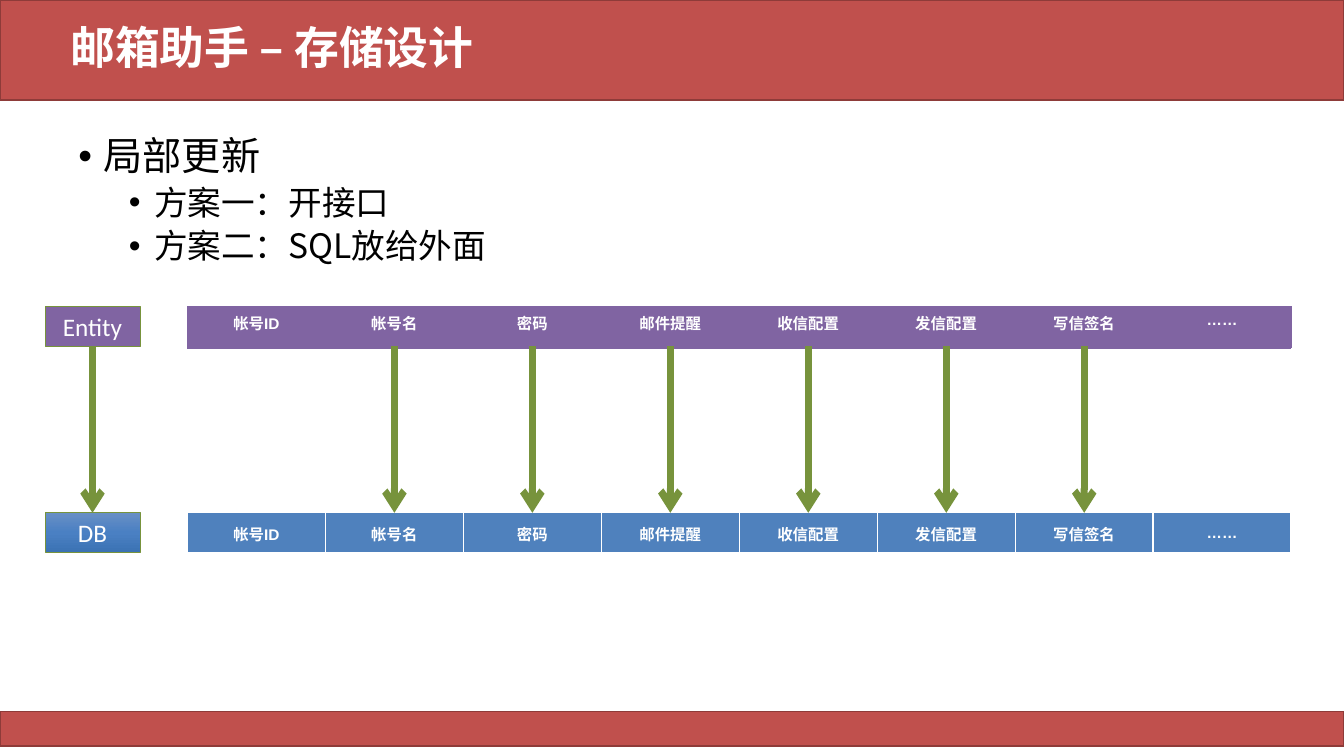
from copy import deepcopy

from lxml.etree import SubElement
from pptx import Presentation
from pptx.dml.color import RGBColor
from pptx.enum.shapes import MSO_CONNECTOR, MSO_SHAPE
from pptx.enum.text import MSO_ANCHOR, PP_ALIGN
from pptx.oxml.ns import qn
from pptx.util import Pt

WHITE = RGBColor(0xFF, 0xFF, 0xFF)
BLACK = RGBColor(0, 0, 0)
RED = RGBColor(0xC0, 0x50, 0x4D)
DARK_RED = RGBColor(0x8E, 0x3B, 0x39)
PURPLE = RGBColor(0x80, 0x64, 0xA2)
BLUE = RGBColor(0x4F, 0x81, 0xBD)
GREEN = RGBColor(0x77, 0x93, 0x3C)
DB_GRADIENT = [RGBColor(0x68, 0x8F, 0xC5), RGBColor(0x4A, 0x80, 0xC3), RGBColor(0x3B, 0x72, 0xB3)]

FIELDS = ["帐号ID", "帐号名", "密码", "邮件提醒", "收信配置", "发信配置", "写信签名", "……"]
FIELDS_LEFT, FIELD_WIDTH, FIELD_HEIGHT = 133.9, 98.55, 29.5
ENTITY_TOP, DB_TOP = 219, 366.3
BOX_LEFT, BOX_WIDTH, BOX_HEIGHT = 32.2, 67.8, 28.4

prs = Presentation()
prs.slide_width, prs.slide_height = Pt(960), Pt(540)
slide = prs.slides.add_slide(prs.slide_layouts[6])
shapes = slide.shapes


def add_box(left, top, width, height, line_color, line_width):
    box = shapes.add_shape(MSO_SHAPE.RECTANGLE, Pt(left), Pt(top), Pt(width), Pt(height))
    box.shadow.inherit = False
    box.line.color.rgb = line_color
    box.line.width = Pt(line_width)
    return box


def style_font(font, name, size, color, bold=False):
    font.name = name
    font.size = Pt(size)
    font.color.rgb = color
    font.bold = bold


# Header and footer bands
for top, height in [(0, 71.5), (508.2, 24.6)]:
    band = add_box(0, top, 960, height, DARK_RED, 1)
    band.fill.solid()
    band.fill.fore_color.rgb = RED

# Title
title = shapes.add_textbox(Pt(43.2), Pt(14.4), Pt(828), Pt(42.5)).text_frame
title.word_wrap = True
title.vertical_anchor = MSO_ANCHOR.MIDDLE
title.text = "邮箱助手 – 存储设计"
title.paragraphs[0].line_spacing = 0.9
style_font(title.paragraphs[0].runs[0].font, "Calibri", 32, WHITE, True)

# Bulleted options: text, level, indent, space before, font, size
options = shapes.add_textbox(Pt(49), Pt(94.3), Pt(884), Pt(380)).text_frame
options.word_wrap = True
for i, (text, level, indent, space, font, size) in enumerate([
    ("局部更新", 0, 18, 0, "Calibri", 28),
    ("方案一：开接口", 1, 54, 5, "Noto Sans CJK SC", 24),
    ("方案二：SQL放给外面", 1, 54, 5, "Noto Sans CJK SC", 24),
]):
    option = options.paragraphs[0] if i == 0 else options.add_paragraph()
    option.text = text
    option.level = level
    option.line_spacing = 0.9
    option.space_before = Pt(space)
    props = option._p.get_or_add_pPr()
    props.set("marL", str(Pt(indent)))
    props.set("indent", str(-Pt(18)))
    SubElement(props, qn("a:buFont"), typeface="Arial")
    SubElement(props, qn("a:buChar"), char="•")
    style_font(option.runs[0].font, font, size, BLACK)

# Field rows: top, fill, border colour, border widths (left, right, top, bottom), anchor
for top, fill, border, widths, anchor in [
    (ENTITY_TOP, PURPLE, PURPLE, (0.5, 0.5, 0.5, 0.5), MSO_ANCHOR.TOP),
    (DB_TOP, BLUE, WHITE, (1, 1, 1, 3), MSO_ANCHOR.MIDDLE),
]:
    fields = shapes.add_table(
        1, len(FIELDS), Pt(FIELDS_LEFT), Pt(top),
        Pt(FIELD_WIDTH * len(FIELDS)), Pt(FIELD_HEIGHT)).table
    fields.first_row = fields.horz_banding = False
    for column, name in enumerate(FIELDS):
        fields.columns[column].width = Pt(FIELD_WIDTH)
        cell = fields.cell(0, column)
        cell.vertical_anchor = anchor
        for side, width in zip("LRTB", widths):
            edge = SubElement(cell._tc.get_or_add_tcPr(), qn(f"a:ln{side}"), w=str(Pt(width)))
            edge_fill = SubElement(edge, qn("a:solidFill"))
            SubElement(edge_fill, qn("a:srgbClr"), val=str(border))
        cell.fill.solid()
        cell.fill.fore_color.rgb = fill
        label = cell.text_frame.paragraphs[0]
        label.text = name
        label.alignment = PP_ALIGN.CENTER
        style_font(label.runs[0].font, "Arial", 11, WHITE, True)

# Entity and DB boxes
entity = add_box(BOX_LEFT, ENTITY_TOP, BOX_WIDTH, BOX_HEIGHT, GREEN, 0.5)
entity.fill.solid()
entity.fill.fore_color.rgb = PURPLE

db = add_box(BOX_LEFT, DB_TOP, BOX_WIDTH, BOX_HEIGHT, GREEN, 0.5)
db.fill.gradient()
db.fill.gradient_angle = 270
stop_list = db._element.spPr.find(qn("a:gradFill")).find(qn("a:gsLst"))
stop_list.insert(1, deepcopy(stop_list[0]))
for stop, position, color in zip(db.fill.gradient_stops, (0, 0.5, 1), DB_GRADIENT):
    stop.position = position
    stop.color.rgb = color

for box, name in [(entity, "Entity"), (db, "DB")]:
    box.text_frame.text = name
    box.text_frame.vertical_anchor = MSO_ANCHOR.MIDDLE
    box.text_frame.paragraphs[0].alignment = PP_ALIGN.CENTER
    style_font(box.text_frame.paragraphs[0].runs[0].font, "Calibri", 18, WHITE)

# Update arrows: Entity to DB, then every field from 帐号名 to 写信签名
centers = [BOX_LEFT + BOX_WIDTH / 2]
centers += [FIELDS_LEFT + FIELD_WIDTH * (i + 0.5) for i in range(1, len(FIELDS) - 1)]
for i, x in enumerate(centers):
    arrow = shapes.add_connector(
        MSO_CONNECTOR.STRAIGHT, Pt(x), Pt(ENTITY_TOP + BOX_HEIGHT), Pt(x), Pt(DB_TOP))
    if i == 0:
        arrow.begin_connect(entity, 2)
        arrow.end_connect(db, 0)
    arrow.line.color.rgb = GREEN
    arrow.line.width = Pt(5)
    SubElement(arrow.line._get_or_add_ln(), qn("a:tailEnd"), type="arrow")
    SubElement(arrow._element.spPr, qn("a:effectLst"))

prs.save("out.pptx")
